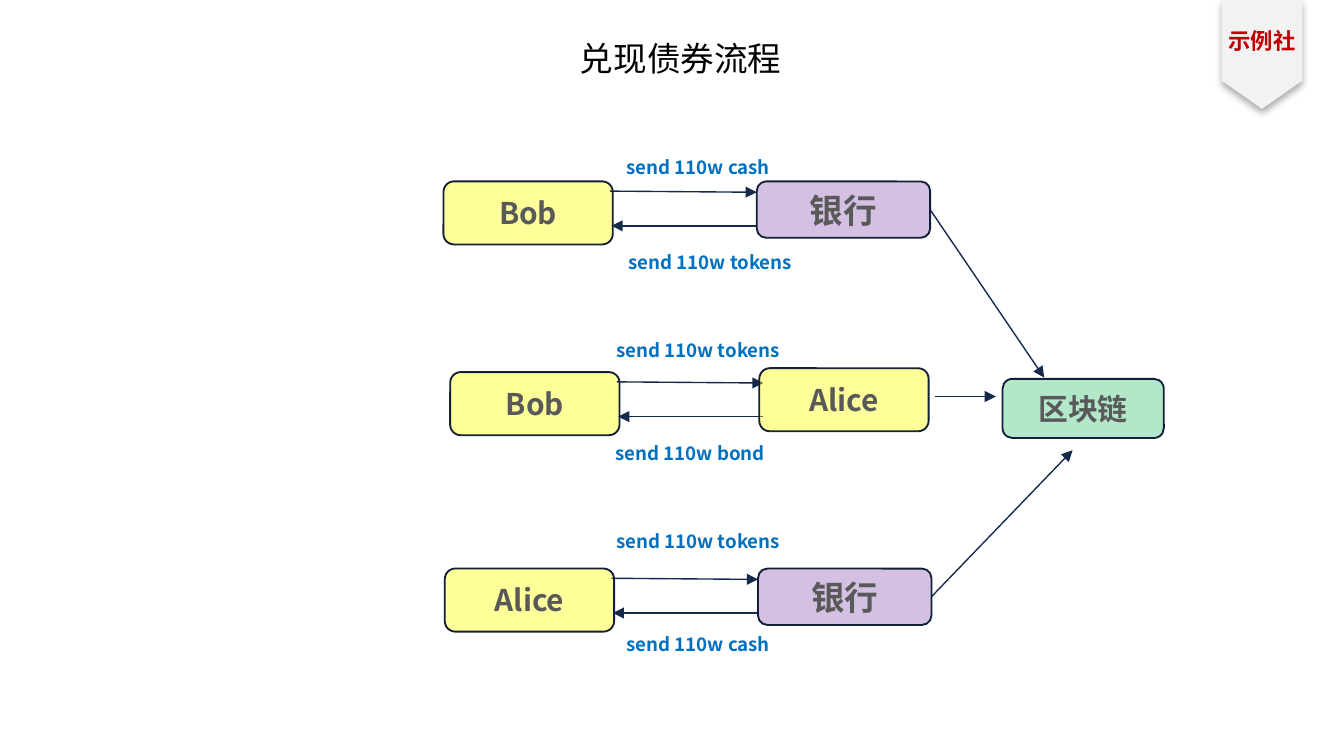
from dataclasses import dataclass
from typing import Any

from lxml.etree import SubElement
from pptx import Presentation
from pptx.dml.color import RGBColor
from pptx.enum.shapes import MSO_CONNECTOR as Connector, MSO_SHAPE as Shape
from pptx.enum.text import MSO_ANCHOR as Anchor, MSO_AUTO_SIZE as AutoSize, PP_ALIGN as Align
from pptx.oxml.ns import qn
from pptx.util import Pt


def color(value):
    return RGBColor.from_string(value)


def assign(target, values):
    for name, value in values.items():
        setattr(target, name, value)


def add_node(parent, tag, **attributes):
    return SubElement(parent, qn(tag), attributes)


@dataclass
class Sketch:
    page: Any
    font: str = "Noto Sans CJK SC"
    outline: str = "111F37"
    arrow_line: str = "152A4B"
    inset: float = 3.6

    def put_text(self, shape, text, size, ink, bold=True, anchor=Anchor.TOP, wrap=True, top=3.6):
        frame = shape.text_frame
        assign(frame, {
            "word_wrap": wrap, "auto_size": AutoSize.NONE, "vertical_anchor": anchor,
            "margin_left": Pt(self.inset), "margin_right": Pt(self.inset),
            "margin_top": Pt(top), "margin_bottom": Pt(self.inset),
        })
        para = frame.paragraphs[0]
        para.alignment = Align.CENTER
        span = para.add_run()
        span.text = text
        assign(span.font, {"size": Pt(size), "bold": bold, "name": self.font})
        span.font.color.rgb = color(ink)
        add_node(span._r.get_or_add_rPr(), "a:ea", typeface=self.font)

    def title(self, text, left, top, width, height):
        box = self.page.shapes.title
        assign(box, {"left": Pt(left), "top": Pt(top), "width": Pt(width), "height": Pt(height)})
        self.put_text(box, text, 18, "000000", bold=False)

    def label(self, text, center, top, width=106, height=19.4):
        box = self.page.shapes.add_textbox(Pt(center - width / 2), Pt(top), Pt(width), Pt(height))
        self.put_text(box, text, 10, "0070C0")

    def node(self, text, left, top, width, height, fill, opacity, size):
        box = self.page.shapes.add_shape(
            Shape.ROUNDED_RECTANGLE, Pt(left), Pt(top), Pt(width), Pt(height))
        box.shadow.inherit = False
        box.fill.solid()
        box.fill.fore_color.rgb = color(fill)
        tint = box._element.spPr.find(qn("a:solidFill"))[0]
        add_node(tint, "a:alpha", val=str(opacity * 1000))
        box.line.color.rgb = color(self.outline)
        box.line.width = Pt(1)
        self.put_text(box, text, size, "595959", anchor=Anchor.MIDDLE)
        return box

    def arrow(self, start, end, source=None, side=3):
        line = self.page.shapes.add_connector(
            Connector.STRAIGHT, *(Pt(value) for value in (*start, *end)))
        if source is not None:
            line.begin_connect(source, side)
        line.line.color.rgb = color(self.arrow_line)
        line.line.width = Pt(0.75)
        properties = line._element.spPr
        add_node(properties.find(qn("a:ln")), "a:tailEnd", type="triangle")
        add_node(properties, "a:effectLst")

    def ribbon(self, text, points):
        corners = [(Pt(x), Pt(y)) for x, y in points]
        builder = self.page.shapes.build_freeform(*corners[0])
        builder.add_line_segments(corners[1:], close=True)
        flag = builder.convert_to_shape()
        flag.fill.solid()
        flag.fill.fore_color.rgb = color("F2F2F2")
        flag.line.fill.background()
        flag.shadow.inherit = False
        effects = flag._element.spPr.find(qn("a:effectLst"))
        shadow = add_node(effects, "a:outerShdw", blurRad=str(Pt(4)), dist=str(Pt(2.2)),
                          dir="5400000", algn="t", rotWithShape="0")
        tint = add_node(shadow, "a:srgbClr", val="000000")
        add_node(tint, "a:alpha", val="32000")
        self.put_text(flag, text, 12, "C00000", wrap=False, top=14.4)


PERSON = {"width": 90.7, "height": 33.8, "fill": "FFFF00", "opacity": 40, "size": 16}
BANK = {"width": 92.9, "height": 30.2, "fill": "7030A0", "opacity": 30, "size": 18}
CHAIN = {"width": 86.4, "height": 31.7, "fill": "00B050", "opacity": 30, "size": 16}

EXCHANGES = [
    (("Bob", 237.6, 97.2), ("银行", 405.4, 97.2, BANK),
     ("send 110w cash", 374, 79.9), ("send 110w tokens", 380.5, 131)),
    (("Bob", 241.2, 199.4), ("Alice", 406.8, 197.3, PERSON),
     ("send 110w tokens", 374, 177.8), ("send 110w bond", 369.7, 233.3)),
    (("Alice", 238.3, 304.6), ("银行", 406.1, 304.6, BANK),
     ("send 110w tokens", 374, 280.1), ("send 110w cash", 374, 335.5)),
]


def main():
    deck = Presentation()
    deck.slide_width, deck.slide_height = Pt(720), Pt(405)
    sketch = Sketch(deck.slides.add_slide(deck.slide_layouts[5]))
    sketch.title("兑现债券流程", 216, 16.6, 297.4, 32.4)
    sketch.ribbon("示例社", [(697.7, 0), (697.7, 43.2), (676.1, 58.3), (654.5, 43.2), (654.5, 0)])

    partners = []
    for (sender, left, top), (partner, x, y, style), sent, returned in EXCHANGES:
        sketch.node(sender, left, top, **PERSON)
        sketch.arrow((left + 89.3, top + 5.2), (left + 167.8, top + 5.8))
        sketch.arrow((left + 167.8, top + 23.8), (left + 90, top + 23.8))
        sketch.label(*sent)
        sketch.label(*returned)
        partners.append(sketch.node(partner, x, y, **style))

    sketch.node("区块链", 537.1, 203, **CHAIN)
    sketch.arrow((498.3, 112.3), (559.4, 202.3), partners[0])
    sketch.arrow((501.1, 212.4), (533.5, 212.4))
    sketch.arrow((499, 319.7), (574.6, 241.2), partners[2])
    deck.save("out.pptx")


if __name__ == "__main__":
    main()
